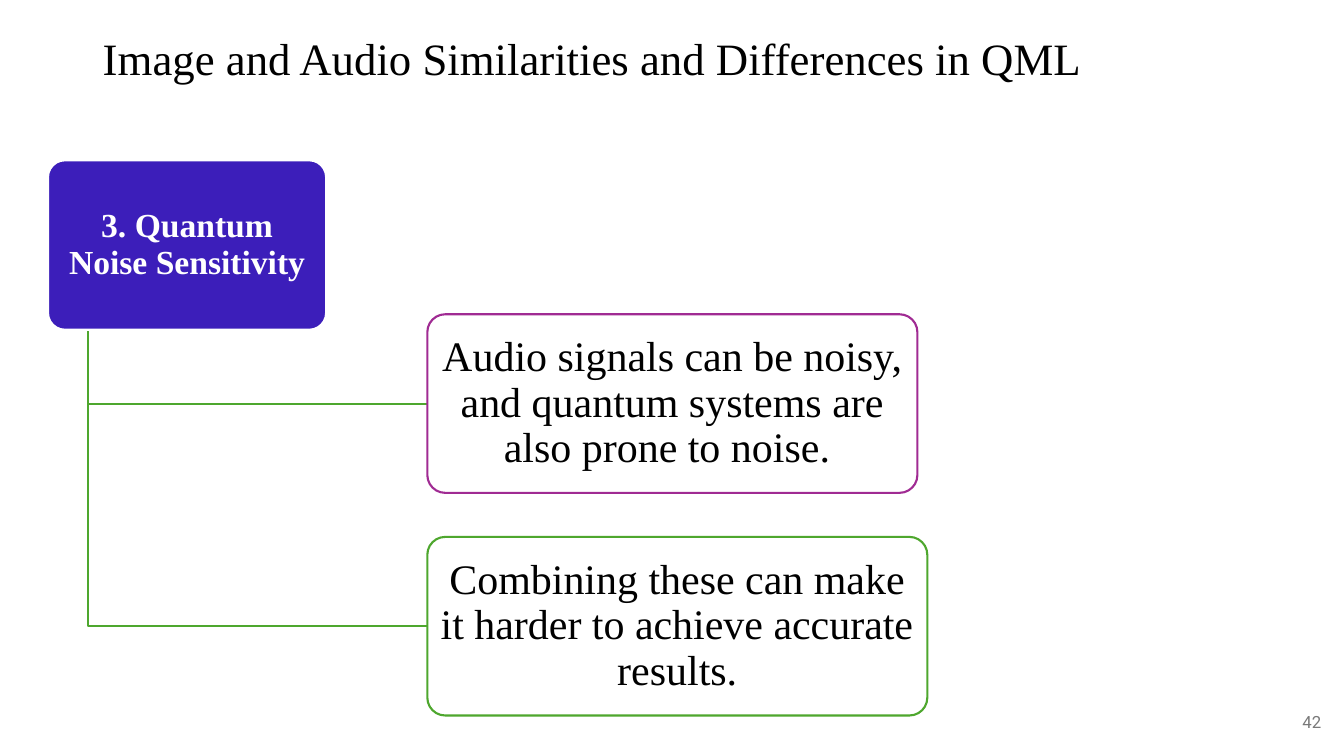
from pptx import Presentation
from pptx.dml.color import RGBColor
from pptx.enum.shapes import MSO_SHAPE
from pptx.enum.text import MSO_ANCHOR, PP_ALIGN
from pptx.util import Cm, Pt

ROUNDED = MSO_SHAPE.ROUNDED_RECTANGLE
MIDDLE = MSO_ANCHOR.MIDDLE
LEFT, CENTER, RIGHT = PP_ALIGN.LEFT, PP_ALIGN.CENTER, PP_ALIGN.RIGHT

COLORS = {
    "white": "FFFFFF",
    "black": "000000",
    "gray": "797979",
    "indigo": "3C1EBA",
    "purple": "A02B93",
    "green": "4EA72E",
}
SERIF = "Times New Roman"
SANS = "Roboto"

LINE_WIDTH = Pt(1.5)
TRUNK_LEFT, TRUNK_TOP = 2.21, 8.26
POINT_LEFT, POINT_TOP = 10.77, 7.92
POINT_HEIGHT, POINT_PITCH = 4.5, 5.61
POINTS = [
    ("Audio signals can be noisy, and quantum systems are also prone to noise. ", 12.35, "purple"),
    ("Combining these can make it harder to achieve accurate results.", 12.6, "green"),
]


def color(name):
    return RGBColor.from_string(COLORS[name])


def write(shape, text, size, text_color, align, font=SERIF, bold=False, spacing=0.9):
    frame = shape.text_frame
    frame.word_wrap = True
    frame.vertical_anchor = MIDDLE
    paragraph = frame.paragraphs[0]
    paragraph.alignment = align
    paragraph.line_spacing = spacing
    run = paragraph.add_run()
    run.text = text
    run.font.name = font
    run.font.size = Pt(size)
    run.font.bold = bold
    run.font.color.rgb = color(text_color)


def add_label(slide, left, top, width, height, *text, **style):
    box = slide.shapes.add_textbox(Cm(left), Cm(top), Cm(width), Cm(height))
    write(box, *text, **style)


def add_card(slide, left, top, width, height, fill, line, *text, **style):
    card = slide.shapes.add_shape(ROUNDED, Cm(left), Cm(top), Cm(width), Cm(height))
    card.shadow.inherit = False
    card.adjustments[0] = 0.1
    card.fill.solid()
    card.fill.fore_color.rgb = color(fill)
    card.line.color.rgb = color(line)
    card.line.width = LINE_WIDTH
    frame = card.text_frame
    frame.margin_left = frame.margin_right = Cm(0.13)
    frame.margin_top = frame.margin_bottom = Cm(0.1)
    write(card, *text, **style)


def add_branch(slide, end_top):
    """Draw the elbow from the heading down and across to a point."""
    builder = slide.shapes.build_freeform(Cm(TRUNK_LEFT), Cm(TRUNK_TOP))
    builder.add_line_segments(
        [(Cm(TRUNK_LEFT), Cm(end_top)), (Cm(POINT_LEFT), Cm(end_top))], close=False
    )
    branch = builder.convert_to_shape()
    branch.shadow.inherit = False
    branch.fill.background()
    branch.line.color.rgb = color("green")
    branch.line.width = LINE_WIDTH


def main():
    presentation = Presentation()
    presentation.slide_width = Cm(33.87)
    presentation.slide_height = Cm(19.05)
    slide = presentation.slides.add_slide(presentation.slide_layouts[6])

    for index, (text, width, line) in enumerate(POINTS):
        top = POINT_TOP + index * POINT_PITCH
        add_branch(slide, top + POINT_HEIGHT / 2)
        add_card(slide, POINT_LEFT, top, width, POINT_HEIGHT, "white", line,
                 text, 30, "black", CENTER)
    add_card(slide, 1.21, 4.04, 7.01, 4.27, "indigo", "white",
             "3. Quantum Noise Sensitivity", 24, "white", CENTER, bold=True)

    add_label(slide, 2.34, 0.79, 29.21, 1.5,
              "Image and Audio Similarities and Differences in QML", 32, "black", LEFT)
    add_label(slide, 30.12, 17.68, 3.43, 1.02, "42", 12, "gray", RIGHT,
              font=SANS, spacing=1.0)

    presentation.save("out.pptx")


if __name__ == "__main__":
    main()
